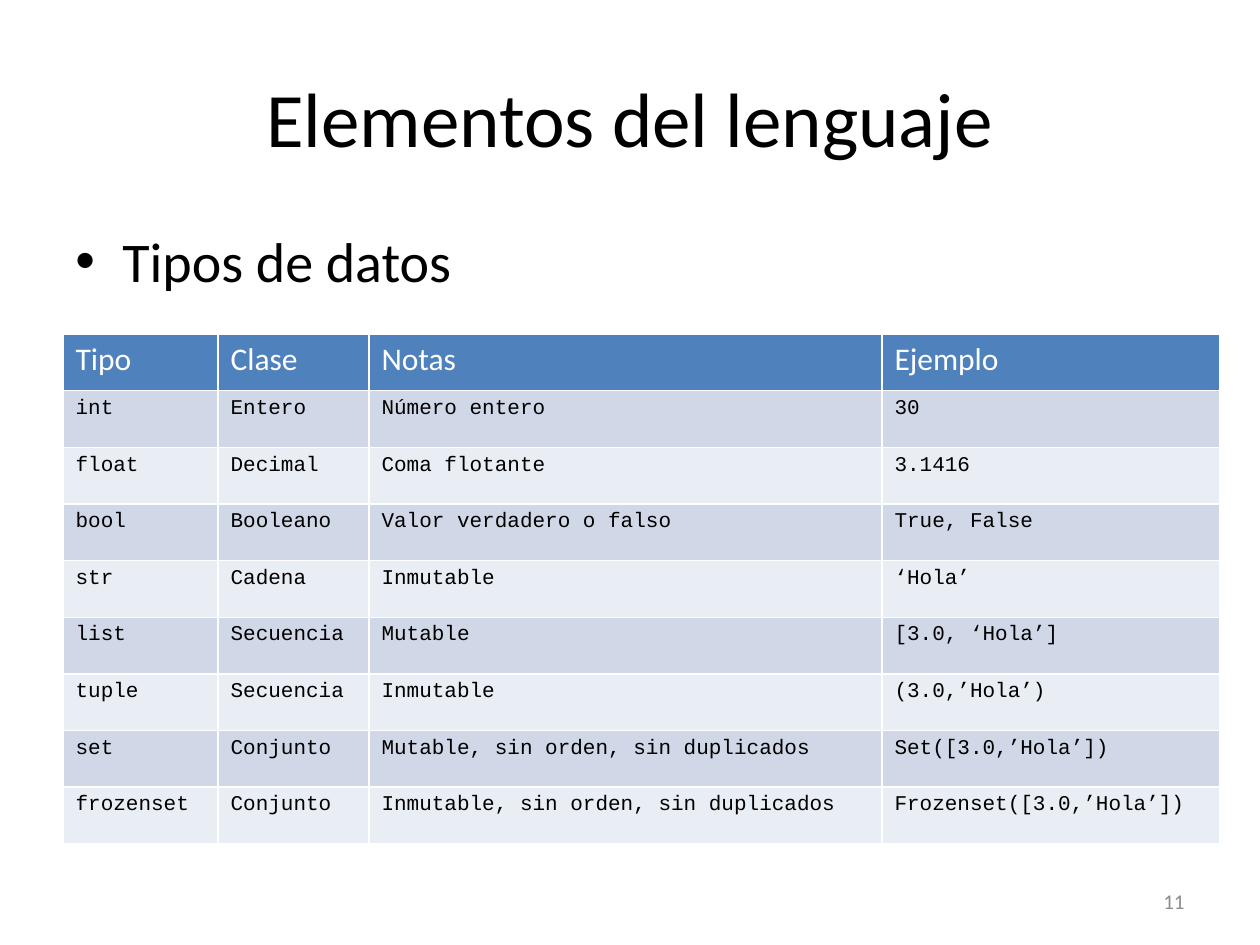
"""Build a slide with a table of Python data types."""
import pptx
import pptx.util
import pptx.dml.color
import pptx.enum.text
import pptx.oxml.ns
import lxml.etree
import dataclasses

TITLE = "Elementos del lenguaje"
BULLET = "Tipos de datos"
NUMBER = "11"
ROWS = [
    ("Tipo", "Clase", "Notas", "Ejemplo"),
    ("int", "Entero", "Número entero", "30"),
    ("float", "Decimal", "Coma flotante", "3.1416"),
    ("bool", "Booleano", "Valor verdadero o falso", "True, False"),
    ("str", "Cadena", "Inmutable", "‘Hola’"),
    ("list", "Secuencia", "Mutable", "[3.0, ‘Hola’]"),
    ("tuple", "Secuencia", "Inmutable", "(3.0,’Hola’)"),
    ("set", "Conjunto", "Mutable, sin orden, sin duplicados", "Set([3.0,’Hola’])"),
    ("frozenset", "Conjunto", "Inmutable, sin orden, sin duplicados", "Frozenset([3.0,’Hola’])"),
]
COLUMNS = [155, 151, 513, 338]
TITLE_BOX = (63, 38, 1134, 158)
BODY_BOX = (63, 220, 1134, 624)
TABLE_BOX = (63, 334, sum(COLUMNS), 510)
NUMBER_BOX = (903, 876, 294, 50)
INDENT = 47
EMU_PER_PX = 914400 / 126


@dataclasses.dataclass(frozen=True)
class Theme:
    font: str = "Calibri"
    code_font: str = "Courier New"
    text: str = "000000"
    header_text: str = "FFFFFF"
    muted: str = "8C8C8C"
    header_fill: str = "4F81BD"
    bands: tuple = ("D0D8E8", "E9EDF4")
    title_size: int = 44
    body_size: int = 32
    header_size: int = 18
    small_size: int = 12


THEME = Theme()
ALIGN = pptx.enum.text.PP_ALIGN
MIDDLE = pptx.enum.text.MSO_ANCHOR.MIDDLE


def px(n):
    return pptx.util.Emu(round(n * EMU_PER_PX))


def rgb(value):
    return pptx.dml.color.RGBColor.from_string(value)


def write(tf, text, font, size, color, align=ALIGN.LEFT):
    p = tf.paragraphs[0]
    p.alignment = align
    r = p.add_run()
    r.text = text
    r.font.name = font
    r.font.size = pptx.util.Pt(size)
    r.font.color.rgb = rgb(color)
    r.font.bold = False
    return p


def add_text(s, box, *args):
    tf = s.shapes.add_textbox(*map(px, box)).text_frame
    tf.word_wrap = True
    return tf, write(tf, *args)


def add_bullet(p):
    p.space_before = pptx.util.Pt(THEME.body_size * 0.2)
    ppr = p._p.get_or_add_pPr()
    ppr.set("marL", str(px(INDENT)))
    ppr.set("indent", str(-px(INDENT)))
    qn = pptx.oxml.ns.qn
    lxml.etree.SubElement(ppr, qn("a:buFont"), typeface="Arial")
    lxml.etree.SubElement(ppr, qn("a:buChar"), char="•")


def add_types_table(s):
    table = s.shapes.add_table(len(ROWS), len(COLUMNS), *map(px, TABLE_BOX)).table
    for column, width in zip(table.columns, COLUMNS):
        column.width = px(width)
    for i, row in enumerate(ROWS):
        if i == 0:
            fill = THEME.header_fill
            style = (THEME.font, THEME.header_size, THEME.header_text)
        else:
            fill = THEME.bands[(i - 1) % 2]
            style = (THEME.code_font, THEME.small_size, THEME.text)
        for j, text in enumerate(row):
            cell = table.cell(i, j)
            cell.fill.solid()
            cell.fill.fore_color.rgb = rgb(fill)
            write(cell.text_frame, text, *style)


def main():
    prs = pptx.Presentation()
    prs.slide_width, prs.slide_height = px(1260), px(945)
    s = prs.slides.add_slide(prs.slide_layouts[5])
    title = s.shapes.title
    title.left, title.top, title.width, title.height = map(px, TITLE_BOX)
    title.text_frame.vertical_anchor = MIDDLE
    write(title.text_frame, TITLE, THEME.font, THEME.title_size, THEME.text, ALIGN.CENTER)
    tf, p = add_text(s, BODY_BOX, BULLET, THEME.font, THEME.body_size, THEME.text)
    add_bullet(p)
    add_types_table(s)
    tf, p = add_text(s, NUMBER_BOX, NUMBER, THEME.font, THEME.small_size, THEME.muted, ALIGN.RIGHT)
    tf.vertical_anchor = MIDDLE
    prs.save("out.pptx")


if __name__ == "__main__":
    main()
